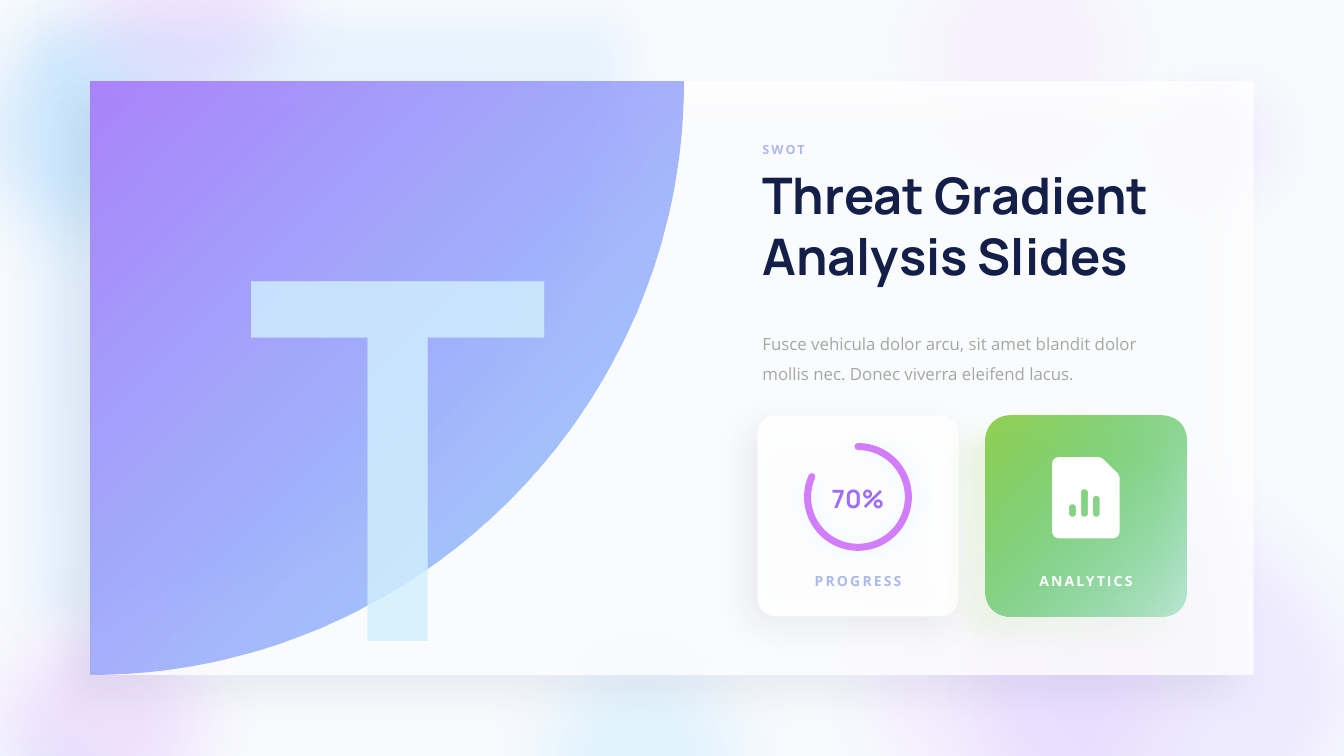
from math import hypot

from lxml.etree import SubElement
from pptx import Presentation
from pptx.dml.color import RGBColor
from pptx.enum.shapes import MSO_SHAPE
from pptx.enum.text import MSO_AUTO_SIZE, PP_ALIGN
from pptx.oxml.ns import qn
from pptx.util import Pt

COLORS = {
    "background": "F8FAFE", "white": "FFFFFF", "navy": "131F49", "violet": "9E6EFB",
    "orchid": "D17DFC", "pink": "F1CDFC", "sky": "72C0FD", "aqua": "8BD8FD",
    "ice": "D1EFFE", "azure": "1898FC", "label": "ACBAE9", "gray": "A6A6A6",
    "lime": "92D050", "green": "00B050",
}

# left, top, diameter, colour, opacity
GLOWS = [
    (-172.8, -81.4, 536.4, "sky", 20),
    (0, -253.4, 536.4, "orchid", 17),
    (1561.7, 14.4, 376.6, "violet", 19),
    (1270.1, 594.7, 774.7, "violet", 12),
    (1123.9, 655.2, 659.5, "orchid", 10),
    (647.3, 811.4, 536.4, "aqua", 20),
    (1193, -200.2, 536.4, "pink", 20),
    (-121.7, 761, 536.4, "orchid", 20),
    (-121.7, 940.3, 376.6, "sky", 19),
]
GLOW_SOFTNESS = 100
PANEL = (129.6, 115.9, 1661, 848.2)
QUARTER_LEFT, QUARTER_TOP, QUARTER_RADIUS = 129.6, 116.8, 847
CARD_TOP, CARD_SIZE = 593.3, 287.3
PROGRESS_LEFT, ANALYTICS_LEFT = 1081.8, 1407.6
RING = (1153.4, 637.9, 144, 144)
RING_ANGLES = (162, 122.33)  # units of 5/3 degree: 270 to 203.9 degrees

# x, y, corner radius
PAGE = [(1502.6, 653, 9.7), (1572.5, 653, 4), (1599.1, 679, 4),
        (1599.1, 769, 9.7), (1502.6, 769, 9.7)]
BAR_TOPS, BAR_BOTTOM, BAR_RADIUS = (720.7, 699.1, 708.5), 738, 2.6
BAR_LEFT, BAR_WIDTH, BAR_STEP = 1527.1, 9.7, 16.9
ARC_PULL = 0.55  # how far a curve's handles reach toward its corner

LETTER = ("T", (337.7, 199, 460.8, 872.6))
TITLE = ("Threat Gradient Analysis Slides", (1081.8, 231.3, 603.4, 181.4))
TOPIC = ("SWOT", (1081.8, 199.4, 79.2, 28.8))
BODY = ("Fusce vehicula dolor arcu, sit amet blandit dolor mollis nec. "
        "Donec viverra eleifend lacus.", (1081.8, 458.6, 603.4, 90))
PERCENT = ("70%", (1179.4, 686.2, 92.2, 51.1))
PROGRESS = ("PROGRESS", (1154.2, 814.3, 142.6, 31.7))
ANALYTICS = ("ANALYTICS", (1474.6, 814.3, 152.6, 31.7))

deck = Presentation()
deck.slide_width, deck.slide_height = Pt(1919.52), Pt(1080)
slide = deck.slides.add_slide(deck.slide_layouts[6])
slide.background.fill.solid()
slide.background.fill.fore_color.rgb = RGBColor.from_string(COLORS["background"])


def paint(fill, owner, stops, angle=315):
    """Fill with one (colour, opacity) pair, or a gradient between two."""
    if len(stops) == 1:
        fill.solid()
        targets = [fill.fore_color]
    else:
        fill.gradient()
        fill.gradient_angle = angle
        targets = []
        for position, stop in enumerate(fill.gradient_stops):
            stop.position = position
            targets.append(stop.color)
    for target, (color, _) in zip(targets, stops):
        target.rgb = RGBColor.from_string(COLORS[color])
    for node, (_, opacity) in zip(owner.iter(qn("a:srgbClr")), stops):
        if opacity < 100:
            SubElement(node, qn("a:alpha"), val=str(opacity * 1000))


def add_effect(shape, tag, **attributes):
    effects = shape.element.spPr.find(qn("a:effectLst"))
    return SubElement(effects, qn(tag), {key: str(value) for key, value in attributes.items()})


def add_shadow(shape, color, opacity, blur, distance=3, direction=135):
    shadow = add_effect(shape, "a:outerShdw", blurRad=Pt(blur), dist=Pt(distance),
                        dir=direction * 60000, algn="ctr", rotWithShape=0)
    node = SubElement(shadow, qn("a:srgbClr"), val=COLORS[color])
    SubElement(node, qn("a:alpha"), val=str(opacity * 1000))


def finish(shape, *stops):
    shape.shadow.inherit = False
    shape.line.fill.background()
    paint(shape.fill, shape.element.spPr, stops)
    return shape


def add_preset(preset, box, *stops):
    return finish(slide.shapes.add_shape(preset, *map(Pt, box)), *stops)


def add_outline(contours, *stops):
    """Each contour lists segments: (end,) is straight, (handle, handle, end) is curved."""
    first = contours[0][0][-1]
    builder = slide.shapes.build_freeform(*map(Pt, first), scale=1.0)
    for index, contour in enumerate(contours):
        ends = [tuple(map(Pt, segment[-1])) for segment in contour]
        if index:
            builder.move_to(*ends[0])
        builder.add_line_segments(ends[1:])
    shape = builder.convert_to_shape()
    segments = [segment for contour in contours for segment in contour[1:]]
    for node, segment in zip(list(shape.element.iter(qn("a:lnTo"))), segments):
        if len(segment) == 3:
            node.tag = qn("a:cubicBezTo")
            node.remove(node[0])
            for x, y in segment:
                SubElement(node, qn("a:pt"), x=str(Pt(x) - shape.left), y=str(Pt(y) - shape.top))
    return finish(shape, *stops)


def curve(start, corner, end):
    handles = [tuple(a + (b - a) * ARC_PULL for a, b in zip(point, corner))
               for point in (start, end)]
    return (*handles, end)


def round_corners(corners):
    contour = []
    for index, (x, y, radius) in enumerate(corners):
        neighbours = corners[index - 1], corners[(index + 1) % len(corners)]
        tangents = []
        for other_x, other_y, _ in neighbours:
            share = radius / hypot(other_x - x, other_y - y)
            tangents.append((x + (other_x - x) * share, y + (other_y - y) * share))
        contour += [(tangents[0],), curve(tangents[0], (x, y), tangents[1])]
    return contour


def add_text(text, box, *, size, colors, font="Open Sans", bold=True, align=PP_ALIGN.LEFT,
             wrap=True, spacing=0, line_spacing=None, angle=315):
    frame = slide.shapes.add_textbox(*map(Pt, box)).text_frame
    frame.word_wrap = wrap
    frame.auto_size = MSO_AUTO_SIZE.SHAPE_TO_FIT_TEXT
    paragraph = frame.paragraphs[0]
    paragraph.alignment = align
    if line_spacing:
        paragraph.line_spacing = line_spacing
    run = paragraph.add_run()
    run.text = text
    run.font.size, run.font.name, run.font.bold = Pt(size), font, bold
    properties = run._r.get_or_add_rPr()
    if spacing:
        properties.set("spc", str(spacing * 100))
    paint(run.font.fill, properties, colors, angle)


for left, top, diameter, color, opacity in GLOWS:
    glow = add_preset(MSO_SHAPE.OVAL, (left, top, diameter, diameter), (color, opacity))
    add_effect(glow, "a:softEdge", rad=Pt(GLOW_SOFTNESS))

add_shadow(add_preset(MSO_SHAPE.RECTANGLE, PANEL, ("white", 80)), "navy", 8, 51, distance=40)

corner = (QUARTER_LEFT, QUARTER_TOP)
bottom = (QUARTER_LEFT, QUARTER_TOP + QUARTER_RADIUS)
right = (QUARTER_LEFT + QUARTER_RADIUS, QUARTER_TOP)
quarter = add_outline([[(bottom,), (corner,), (right,),
                        curve(right, (right[0], bottom[1]), bottom)]],
                      ("violet", 83), ("sky", 64))
add_shadow(quarter, "azure", 10, 64, distance=120, direction=225)

progress_card = add_preset(MSO_SHAPE.ROUNDED_RECTANGLE,
                           (PROGRESS_LEFT, CARD_TOP, CARD_SIZE, CARD_SIZE), ("white", 95))
progress_card.adjustments[0] = 0.09
add_shadow(progress_card, "navy", 8, 51, distance=20)

add_text(*LETTER, size=714, font="Manrope", align=PP_ALIGN.CENTER,
         colors=[("ice", 81), ("background", 100)], angle=135)
add_text(*TITLE, size=72, font="Manrope", colors=[("navy", 100)])
add_text(*TOPIC, size=18, colors=[("label", 100)], wrap=False, spacing=3)
add_text(*BODY, size=24, colors=[("gray", 100)], bold=False, line_spacing=1.5)

ring = slide.shapes.add_shape(MSO_SHAPE.ARC, *map(Pt, RING))
ring.adjustments[0], ring.adjustments[1] = RING_ANGLES
ring.shadow.inherit = False
ring.fill.background()
ring.line.width = Pt(10)
ring.line.color.rgb = RGBColor.from_string(COLORS["orchid"])
ring.element.spPr.find(qn("a:ln")).set("cap", "rnd")
add_shadow(ring, "aqua", 17, 31, direction=45)

add_text(*PERCENT, size=36, font="Manrope", colors=[("violet", 100)], align=PP_ALIGN.CENTER)
add_text(*PROGRESS, size=20, colors=[("label", 100)], align=PP_ALIGN.CENTER,
         wrap=False, spacing=3)

analytics_card = add_preset(MSO_SHAPE.ROUNDED_RECTANGLE,
                            (ANALYTICS_LEFT, CARD_TOP, CARD_SIZE, CARD_SIZE),
                            ("lime", 100), ("green", 24))
analytics_card.adjustments[0] = 0.12
add_shadow(analytics_card, "lime", 19, 36, distance=40)

bars = []
for index, top in enumerate(BAR_TOPS):
    start = BAR_LEFT + index * BAR_STEP
    end = start + BAR_WIDTH
    bars.append(round_corners([(x, y, BAR_RADIUS) for x, y in (
        (start, top), (start, BAR_BOTTOM), (end, BAR_BOTTOM), (end, top))]))
add_outline([round_corners(PAGE), *bars], ("white", 100))
add_text(*ANALYTICS, size=20, colors=[("white", 100)], align=PP_ALIGN.CENTER,
         wrap=False, spacing=3)

deck.save("out.pptx")
